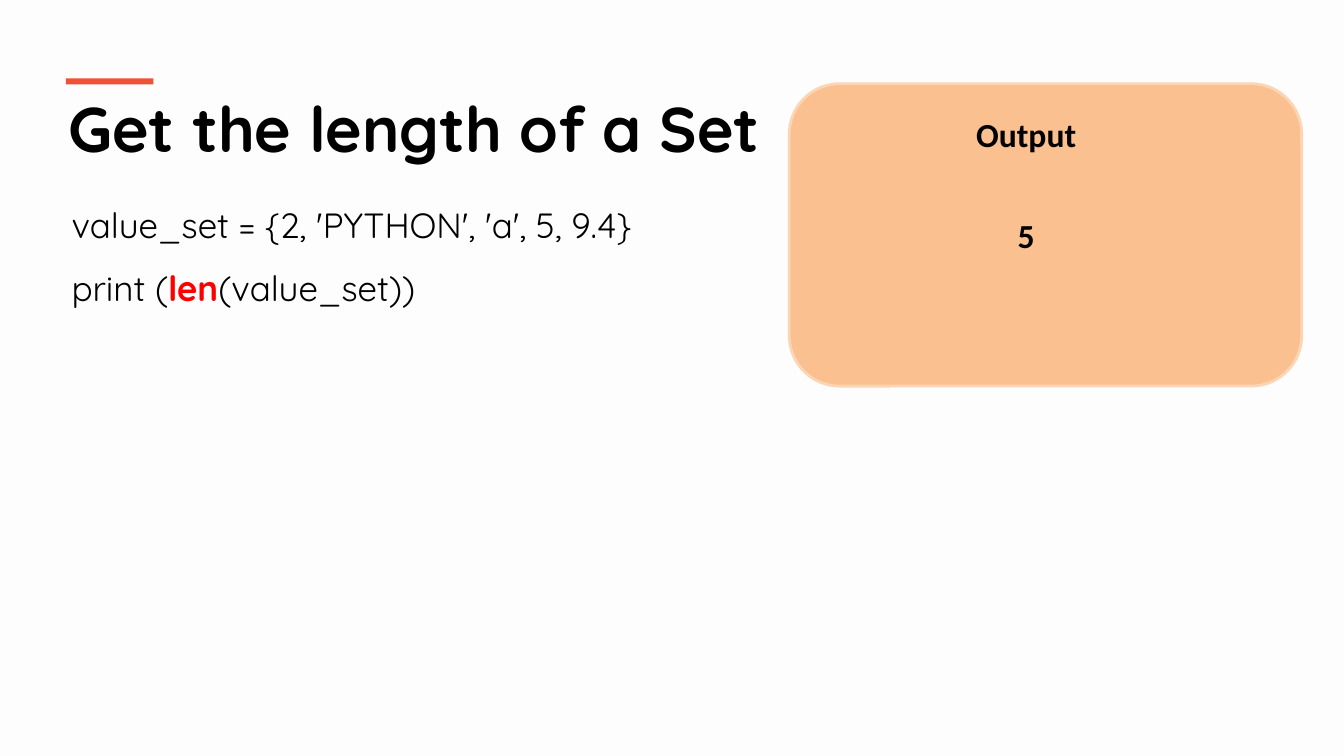
from dataclasses import dataclass

from pptx import Presentation
from pptx.dml.color import RGBColor as RGB
from pptx.enum.shapes import MSO_SHAPE as Shape
from pptx.enum.text import MSO_AUTO_SIZE as AutoSize, PP_ALIGN as Align
from pptx.util import Pt


@dataclass(frozen=True)
class Theme:
    background: str = "FDFDFD"
    ink: str = "000000"
    accent: str = "F05136"
    keyword: str = "FF0000"
    panel: str = "FAC090"
    panel_edge: str = "FCD5B5"
    main_font: str = "Quicksand"
    output_font: str = "Calibri"
    title_size: float = 45
    code_size: float = 25
    output_size: float = 24


class SlideBuilder:
    def __init__(self, slide, theme):
        self.slide = slide
        self.theme = theme
        backdrop = slide.background.fill
        backdrop.solid()
        backdrop.fore_color.rgb = RGB.from_string(theme.background)

    def block(self, kind, left, top, width, height, fill, edge=None):
        block = self.slide.shapes.add_shape(
            kind, Pt(left), Pt(top), Pt(width), Pt(height))
        block.shadow.inherit = False
        block.fill.solid()
        block.fill.fore_color.rgb = RGB.from_string(fill)
        if edge:
            block.line.color.rgb = RGB.from_string(edge)
            block.line.width = Pt(2)
        else:
            block.line.fill.background()

    def frame(self, left, top, width, height, wrap=True):
        box = self.slide.shapes.add_textbox(
            Pt(left), Pt(top), Pt(width), Pt(height))
        frame = box.text_frame
        frame.word_wrap = wrap
        frame.auto_size = AutoSize.SHAPE_TO_FIT_TEXT
        return frame

    def style(self, run, font, size, bold=False, color=None):
        run.font.name = font
        run.font.size = Pt(size)
        run.font.bold = bold
        run.font.color.rgb = RGB.from_string(color or self.theme.ink)

    def title(self, text, left, top, width, height):
        frame = self.frame(left, top, width, height)
        frame.text = text
        self.style(frame.paragraphs[0].runs[0], self.theme.main_font,
                   self.theme.title_size, bold=True)

    def code(self, lines, keyword, left, top, width, height):
        theme = self.theme
        frame = self.frame(left, top, width, height)
        frame.text = "\n".join(lines)
        for paragraph in frame.paragraphs:
            paragraph.line_spacing = 1.5
            before, found, after = paragraph.text.partition(keyword)
            paragraph.text = before
            for part in filter(None, (found, after)):
                paragraph.add_run().text = part
            for run in paragraph.runs:
                marked = run.text == keyword
                self.style(run, theme.main_font, theme.code_size, marked,
                           theme.keyword if marked else theme.ink)

    def output(self, text, center, top, width, height):
        frame = self.frame(center - width / 2, top, width, height, wrap=False)
        frame.text = text
        frame.paragraphs[0].alignment = Align.CENTER
        self.style(frame.paragraphs[0].runs[0], self.theme.output_font,
                   self.theme.output_size, bold=True)


def main():
    deck = Presentation()
    deck.slide_width, deck.slide_height = Pt(960), Pt(540)
    theme = Theme()
    page = SlideBuilder(deck.slides.add_slide(deck.slide_layouts[6]), theme)

    # Heading with its accent bar
    page.title("Get the length of a Set", 41.8, 60.5, 877, 62)
    page.block(Shape.RECTANGLE, 47, 56, 62.6, 4.3, theme.accent)

    # Code example
    page.code(["value_set = {2, 'PYTHON', 'a', 5, 9.4}",
               "print (len(value_set))"], "len", 44, 126.7, 874, 98)

    # Output panel
    page.block(Shape.ROUNDED_RECTANGLE, 563.8, 59.8, 366, 216,
               theme.panel, theme.panel_edge)
    output_center = 733
    page.output("5", output_center, 150, 26.6, 36)
    page.output("Output", output_center, 78, 87, 36)

    deck.save("out.pptx")


if __name__ == "__main__":
    main()
